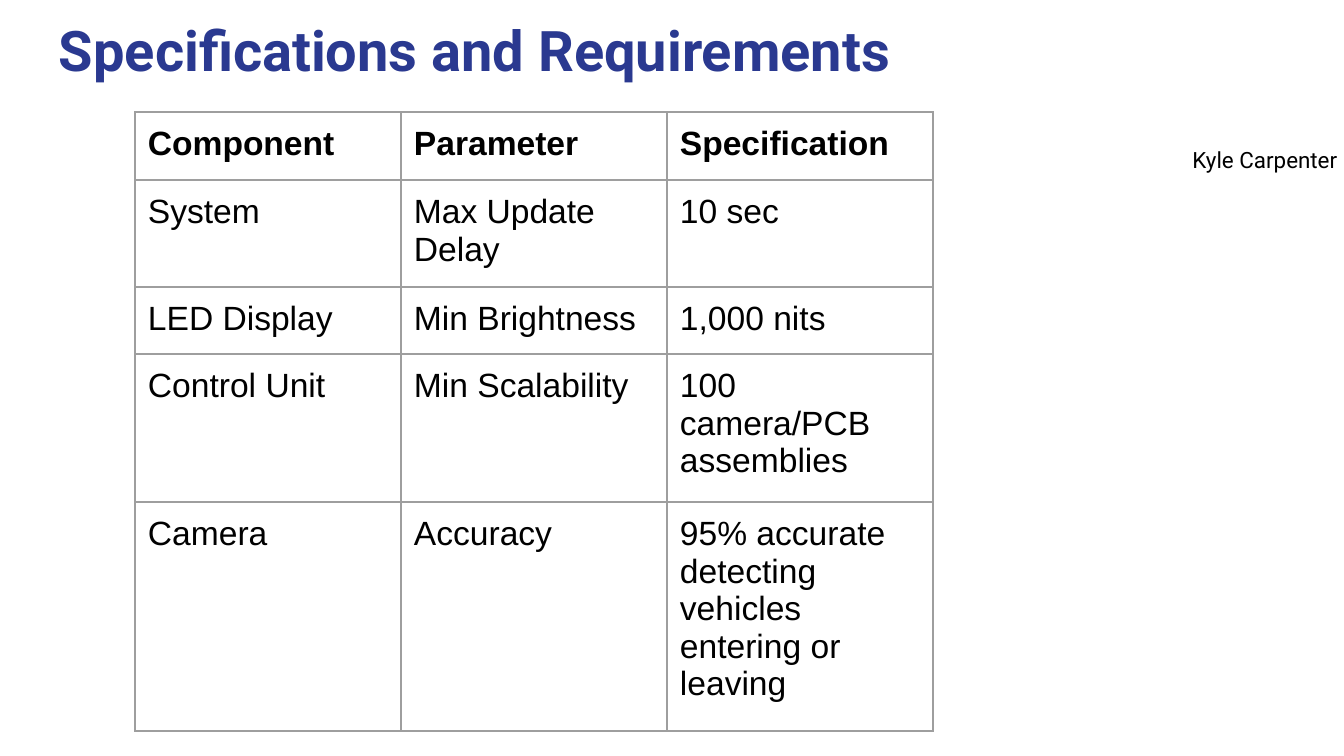
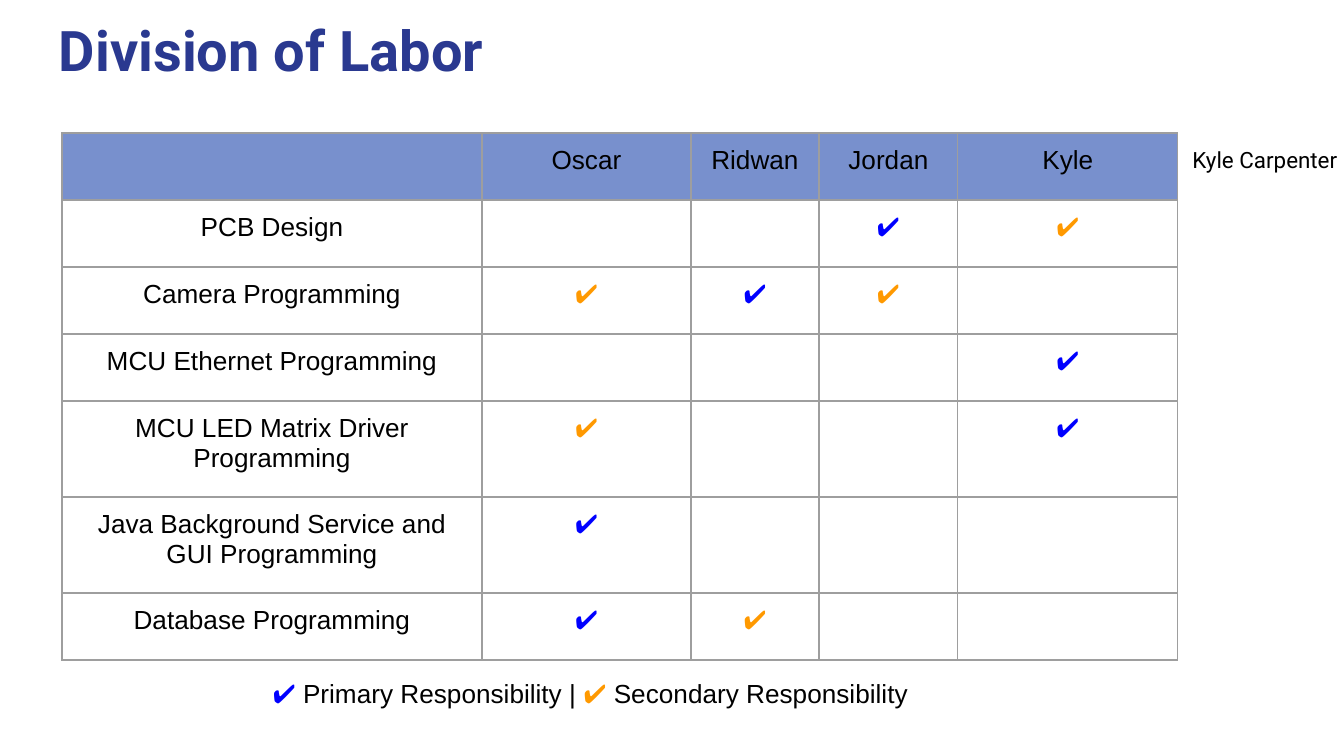
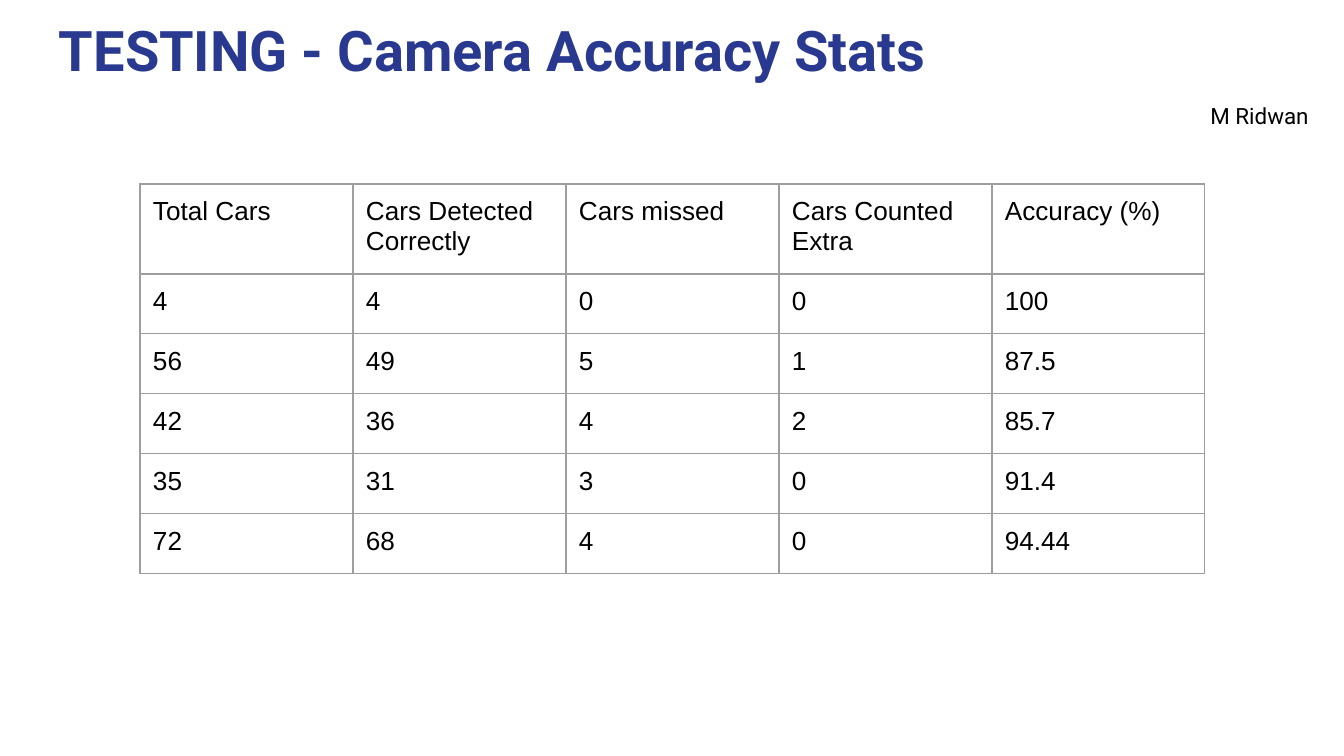
"""Build three slides on the specifications, labor and testing of a parking project."""
import pptx
import pptx.dml.color
import pptx.enum.text
import pptx.oxml
import pptx.oxml.ns
import pptx.util

RGB = pptx.dml.color.RGBColor
ALIGN = pptx.enum.text.PP_ALIGN
NAVY = RGB(0x2A, 0x39, 0x90)
BLACK = RGB(0, 0, 0)
GRID_GRAY = RGB(0x9E, 0x9E, 0x9E)
HEADER_BLUE = RGB(0x78, 0x90, 0xCD)
PRIMARY = RGB(0, 0, 0xFF)
SECONDARY = RGB(0xFF, 0x99, 0)
CHECK = "✔"

SPECIFICATIONS = [
    ["Component", "Parameter", "Specification"],
    ["System", "Max Update Delay", "10 sec"],
    ["LED Display", "Min Brightness", "1,000 nits"],
    ["Control Unit", "Min Scalability", "100 camera/PCB assemblies"],
    ["Camera", "Accuracy", "95% accurate detecting vehicles entering or leaving"],
]

MEMBERS = ["Oscar", "Ridwan", "Jordan", "Kyle"]
TASKS = [
    ("PCB Design", {"Jordan": PRIMARY, "Kyle": SECONDARY}),
    ("Camera Programming", {"Oscar": SECONDARY, "Ridwan": PRIMARY, "Jordan": SECONDARY}),
    ("MCU Ethernet Programming", {"Kyle": PRIMARY}),
    ("MCU LED Matrix Driver Programming", {"Oscar": SECONDARY, "Kyle": PRIMARY}),
    ("Java Background Service and GUI Programming", {"Oscar": PRIMARY}),
    ("Database Programming", {"Oscar": PRIMARY, "Ridwan": SECONDARY}),
]
LEGEND = [
    (CHECK, PRIMARY),
    (" Primary Responsibility | ", BLACK),
    (CHECK, SECONDARY),
    (" Secondary Responsibility", BLACK),
]

ACCURACY = [
    ["Total Cars", "Cars Detected Correctly", "Cars missed", "Cars Counted Extra", "Accuracy (%)"],
    ["4", "4", "0", "0", "100"],
    ["56", "49", "5", "1", "87.5"],
    ["42", "36", "4", "2", "85.7"],
    ["35", "31", "3", "0", "91.4"],
    ["72", "68", "4", "0", "94.44"],
]


def px(length):
    return pptx.util.Emu(round(length * 914400 / 134.4))


INSET = px(13)


def set_insets(area):
    area.margin_left = area.margin_right = area.margin_top = area.margin_bottom = INSET


def style(paragraph, face, size, color=BLACK, bold=False, align=ALIGN.LEFT):
    paragraph.alignment = align
    font = paragraph.font
    font.name, font.size, font.bold = face, pptx.util.Pt(size), bold
    if color is not None:
        font.color.rgb = color


def add_text(slide, at, runs, face, size, color=BLACK, bold=False, align=ALIGN.CENTER):
    frame = slide.shapes.add_textbox(*map(px, at)).text_frame
    frame.word_wrap = True
    set_insets(frame)
    paragraph = frame.paragraphs[0]
    style(paragraph, face, size, color, bold, align)
    for text, run_color in runs:
        run = paragraph.add_run()
        run.text = text
        if run_color is not None:
            run.font.color.rgb = run_color


def add_slide(deck, title, presenter, presenter_at):
    slide = deck.slides.add_slide(deck.slide_layouts[6])
    add_text(slide, (46, 3, 1052, 89), [(title, None)], "Roboto", 30, NAVY, True, ALIGN.LEFT)
    add_text(slide, presenter_at, [(presenter, None)], "Roboto", 12)
    return slide


def add_borders(cell):
    properties = cell._tc.get_or_add_tcPr()
    for position, side in enumerate(("lnL", "lnR", "lnT", "lnB")):
        properties.insert(position, pptx.oxml.parse_xml(
            f'<a:{side} {pptx.oxml.ns.nsdecls("a")} w="9525"><a:solidFill>'
            f'<a:srgbClr val="{GRID_GRAY}"/></a:solidFill></a:{side}>'))


def add_grid(slide, corner, widths, heights, rows, size,
             align=ALIGN.LEFT, header_bold=False, header_fill=None):
    table = slide.shapes.add_table(
        len(rows), len(widths), *map(px, (*corner, sum(widths), sum(heights)))).table
    table.first_row = table.horz_banding = False
    for column, width in zip(table.columns, widths):
        column.width = px(width)
    for index, (row, height, texts) in enumerate(zip(table.rows, heights, rows)):
        row.height = px(height)
        is_header = index == 0
        for cell, text in zip(row.cells, texts):
            cell.text = text
            set_insets(cell)
            style(cell.text_frame.paragraphs[0], "Arial", size,
                  bold=header_bold and is_header, align=align)
            if is_header and header_fill is not None:
                cell.fill.solid()
                cell.fill.fore_color.rgb = header_fill
            else:
                cell.fill.background()
            add_borders(cell)
    return table


def build_specifications(deck):
    slide = add_slide(deck, "Specifications and Requirements", "Kyle Carpenter", (1177, 133, 176, 54))
    add_grid(slide, (135, 112), [266] * 3, [68, 107, 67, 148, 229],
             SPECIFICATIONS, 18, header_bold=True)


def build_labor(deck):
    slide = add_slide(deck, "Division of Labor", "Kyle Carpenter", (1177, 133, 176, 54))
    rows = [["", *MEMBERS]]
    for task, roles in TASKS:
        rows.append([task] + [CHECK if member in roles else "" for member in MEMBERS])
    table = add_grid(slide, (62, 133), [420, 209, 128, 139, 220], [67, 67, 67, 67, 96, 96, 67],
                     rows, 14, ALIGN.CENTER, header_fill=HEADER_BLUE)
    for row, (task, roles) in enumerate(TASKS, 1):
        for member, role in roles.items():
            mark = table.cell(row, MEMBERS.index(member) + 1).text_frame.paragraphs[0]
            mark.font.color.rgb = role
    add_text(slide, (106, 664, 969, 59), LEGEND, "Arial", 14, None)


def build_accuracy(deck):
    slide = add_slide(deck, "TESTING - Camera Accuracy Stats", "M Ridwan", (1180, 89, 159, 54))
    add_grid(slide, (140, 184), [213] * 5, [90] + [60] * 5, ACCURACY, 14)


def main():
    deck = pptx.Presentation()
    deck.slide_width, deck.slide_height = px(1344), px(756)
    build_specifications(deck)
    build_labor(deck)
    build_accuracy(deck)
    deck.save("out.pptx")


if __name__ == "__main__":
    main()
